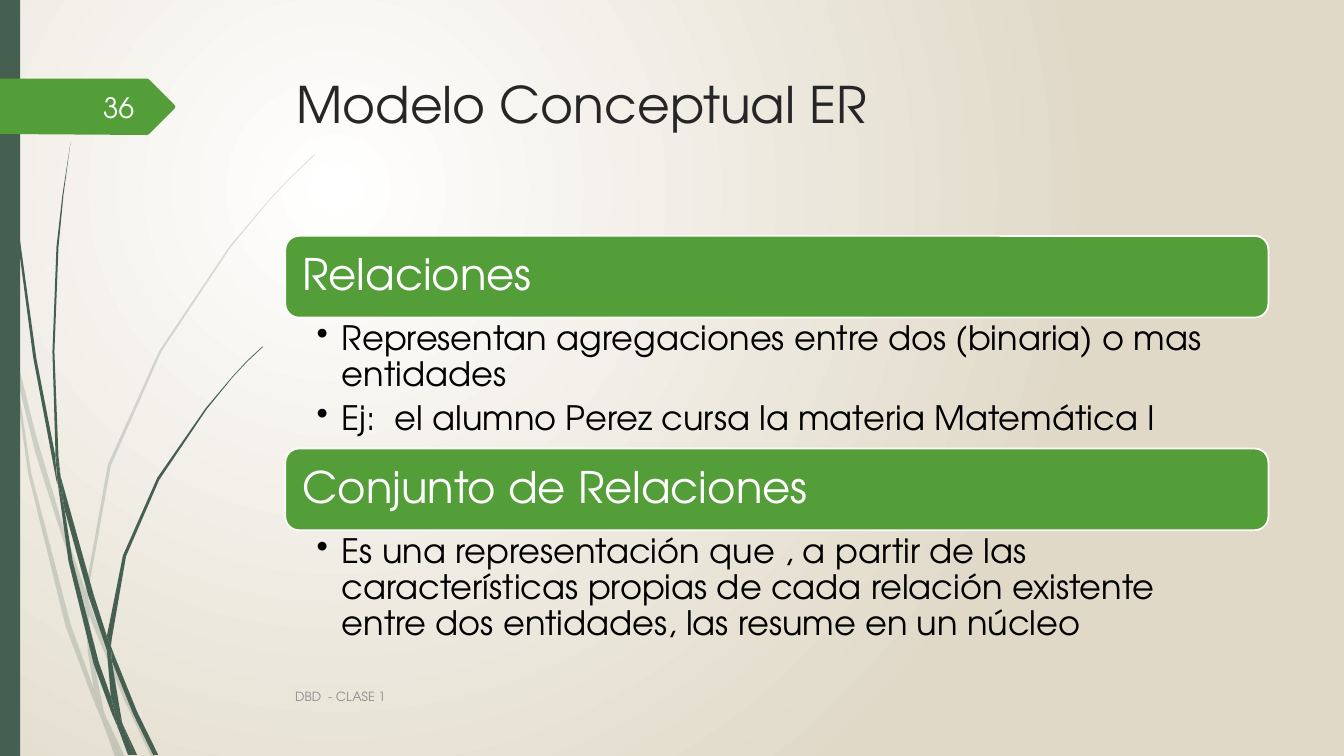
from dataclasses import dataclass

from lxml import etree
from pptx import Presentation
from pptx.dml.color import RGBColor
from pptx.enum.shapes import MSO_SHAPE
from pptx.enum.text import MSO_ANCHOR, PP_ALIGN
from pptx.oxml.ns import qn
from pptx.util import Inches, Pt

RECTANGLE = MSO_SHAPE.RECTANGLE
ROUNDED = MSO_SHAPE.ROUNDED_RECTANGLE
TOP, MIDDLE = MSO_ANCHOR.TOP, MSO_ANCHOR.MIDDLE
LEFT, RIGHT = PP_ALIGN.LEFT, PP_ALIGN.RIGHT


@dataclass(frozen=True)
class Theme:
    """Colours, font and type sizes of the slide."""
    font: str = "TeX Gyre Adventor"
    white: RGBColor = RGBColor(0xFF, 0xFF, 0xFF)
    sand: RGBColor = RGBColor(0xE0, 0xD9, 0xC8)
    pine: RGBColor = RGBColor(0x45, 0x5F, 0x51)
    green: RGBColor = RGBColor(0x54, 0x9E, 0x39)
    ink: RGBColor = RGBColor(0x26, 0x26, 0x26)
    black: RGBColor = RGBColor(0, 0, 0)
    grey: RGBColor = RGBColor(0x8C, 0x8C, 0x8C)
    number_colour: RGBColor = RGBColor(0xFE, 0xFF, 0xFF)
    title: int = 36
    header: int = 31
    body: int = 24
    number: int = 20
    footer: int = 9


THEME = Theme()
COLUMN_LEFT, COLUMN_WIDTH = 2.83, 9.75
BAND_HEIGHT, BAND_PADDING = 0.81, 0.04

PALE_GRASS = [
    [(0.11, 3.5), (0.09, 3.22), (0, 2.82), (0, 2.99), (0.1, 3.44)],
    [(0.58, 5.22), (0.84, 5.99), (0.85, 5.86), (0.62, 5.2), (0.36, 4.33),
     (0.14, 3.45), (0.17, 3.76), (0.35, 4.49)],
    [(0.92, 6.07), (0.88, 5.96), (0.88, 6.1), (1.23, 6.94), (1.5, 7.51),
     (1.55, 7.51), (1.27, 6.92)],
    [(1.19, 7.51), (1.24, 7.51), (1.05, 7.11)],
    [(0.93, 6.83), (0.7, 6.19), (0.31, 4.69), (0.17, 3.76), (0.11, 3.5),
     (0.28, 4.7), (0.65, 6.21), (0.92, 6.93), (1.01, 7.14), (0.99, 7.07)],
    [(0.84, 5.99), (0.87, 6.46), (0.93, 6.83), (0.96, 6.92), (1.05, 7.11),
     (1.03, 7.06), (0.91, 6.46), (0.88, 6.1), (0.88, 6.08)],
    [(0.88, 5.84), (1.1, 4.62), (1.6, 3.49), (2.29, 2.45), (2.68, 1.98),
     (2.9, 1.75), (3.12, 1.54), (3.12, 1.53), (2.89, 1.75), (2.68, 1.97),
     (2.28, 2.44), (1.58, 3.48), (1.07, 4.61), (0.85, 5.84), (0.85, 5.86),
     (0.88, 5.96)],
    [(1.01, 7.14), (1.14, 7.51), (1.19, 7.51)],
    [(0.88, 6.08), (0.88, 6.1), (0.88, 5.96), (0.85, 5.86), (0.84, 5.99)],
    [(0.96, 6.92), (0.93, 6.83), (0.99, 7.07), (1.01, 7.14), (1.19, 7.51),
     (1.05, 7.11)],
]
DARK_GRASS = [
    [(0.07, 1.1), (0.17, 2.33), (0.33, 3.55), (0.56, 4.77), (0.57, 4.81),
     (0.55, 4.57), (0.55, 4.53), (0.36, 3.55), (0.19, 2.32), (0.08, 1.09),
     (0.05, 0.48), (0.04, 0), (0.03, 0), (0.04, 0.48)],
    [(0.88, 5.92), (1.06, 6.45), (1.06, 6.33), (1.06, 6.31), (0.93, 5.9),
     (0.6, 4.72), (0.64, 5.05)],
    [(1.13, 6.49), (1.1, 6.41), (1.11, 6.56), (1.32, 7.08), (1.52, 7.49),
     (1.57, 7.49), (1.36, 7.06)],
    [(1.1, 6.91), (0.98, 6.57), (0.72, 5.56), (0.64, 5.05), (0.57, 4.77),
     (0.68, 5.57), (0.93, 6.59), (1.11, 7.08), (1.17, 7.22), (1.16, 7.17)],
    [(0.6, 4.72), (0.58, 4.53), (0.54, 3.49), (0.58, 2.45), (0.63, 1.93),
     (0.7, 1.41), (0.62, 1.93), (0.56, 2.45), (0.52, 3.49), (0.55, 4.49)],
    [(1.33, 7.49), (1.36, 7.49), (1.22, 7.19)],
    [(0.57, 4.77), (0.64, 5.05), (0.6, 4.72), (0.55, 4.49), (0.55, 4.53)],
    [(1.11, 6.33), (1.25, 5.52), (1.58, 4.76), (2.05, 4.06), (2.31, 3.74),
     (2.45, 3.59), (2.61, 3.44), (2.6, 3.44), (2.45, 3.58), (2.31, 3.73),
     (2.04, 4.05), (1.56, 4.74), (1.22, 5.51), (1.06, 6.31), (1.1, 6.41)],
    [(1.17, 7.22), (1.27, 7.49), (1.31, 7.49)],
    [(1.06, 6.45), (1.1, 6.91), (1.16, 7.06), (1.22, 7.19), (1.21, 7.16),
     (1.11, 6.56), (1.09, 6.51)],
    [(1.06, 6.45), (1.09, 6.51), (1.11, 6.56), (1.1, 6.41), (1.06, 6.31)],
    [(1.16, 7.06), (1.1, 6.91), (1.16, 7.17), (1.17, 7.22), (1.3, 7.49),
     (1.33, 7.49), (1.22, 7.19)],
]
PAGE_TAG = [(0, 0.78), (1.46, 0.78), (1.48, 0.79), (1.73, 1.04),
            (1.74, 1.06), (1.73, 1.08), (1.48, 1.33), (1.46, 1.34), (0, 1.33)]

SECTIONS = [
    (2.34, 1.3, "Relaciones", [
        "Representan agregaciones entre dos (binaria) o mas entidades",
        "Ej:  el alumno Perez cursa la materia Matemática I"]),
    (4.45, 1.19, "Conjunto de Relaciones", [
        "Es una representación que , a partir de las características propias "
        "de cada relación existente entre dos entidades, las resume en un núcleo"]),
]


def paint_background(slide):
    """Fill the slide with a radial gradient centred in its upper left part."""
    fill = slide.background.fill
    fill.gradient()
    for stop, colour in zip(fill.gradient_stops, (THEME.white, THEME.sand)):
        stop.color.rgb = colour
    linear = next(slide.background._cSld.iter(qn("a:lin")))
    radial = etree.Element(qn("a:path"), {"path": "circle"})
    etree.SubElement(radial, qn("a:fillToRect"),
                     {"l": "50000", "t": "50000", "r": "100000", "b": "100000"})
    linear.getparent().replace(linear, radial)


def paint(shape, colour):
    """Give a shape a flat fill without line or shadow."""
    shape.shadow.inherit = False
    shape.fill.solid()
    shape.fill.fore_color.rgb = colour
    shape.line.fill.background()
    return shape


def add_outline(shapes, points, colour):
    """Draw a closed filled outline through points given in inches."""
    corners = [(Inches(x), Inches(y)) for x, y in points]
    builder = shapes.build_freeform(*corners[0], scale=1.0)
    builder.add_line_segments(corners[1:], close=True)
    return paint(builder.convert_to_shape(), colour)


def add_grass(slide, blades, opacity=100):
    """Draw a group of grass blades at the given opacity in percent."""
    tuft = slide.shapes.add_group_shape()
    for points in blades:
        blade = add_outline(tuft.shapes, points, THEME.pine)
        if opacity < 100:
            colour = next(blade._element.spPr.iter(qn("a:srgbClr")))
            etree.SubElement(colour, qn("a:alpha"), {"val": str(opacity * 1000)})


def add_block(slide, shape_type, left, top, width, height, colour):
    """Add a flat preset shape."""
    return paint(slide.shapes.add_shape(
        shape_type, Inches(left), Inches(top), Inches(width), Inches(height)), colour)


def add_text(slide, box, lines, size, colour, anchor=MIDDLE, align=LEFT,
             insets=(0.1, 0.05, 0.1, 0.05), spacing=None, bulleted=False):
    """Add a text box with one paragraph for each line."""
    frame = slide.shapes.add_textbox(*map(Inches, box)).text_frame
    frame.word_wrap = True
    frame.vertical_anchor = anchor
    (frame.margin_left, frame.margin_top,
     frame.margin_right, frame.margin_bottom) = map(Inches, insets)
    for index, line in enumerate(lines):
        paragraph = frame.add_paragraph() if index else frame.paragraphs[0]
        paragraph.text = line
        paragraph.alignment = align
        if spacing:
            paragraph.line_spacing = spacing
        if bulleted:
            paragraph.space_after = Pt(5)
            properties = paragraph._p.get_or_add_pPr()
            properties.set("marL", str(Inches(0.25)))
            properties.set("indent", str(-Inches(0.25)))
            etree.SubElement(properties, qn("a:buChar"), {"char": "•"})
        paragraph.font.name = THEME.font
        paragraph.font.size = Pt(size)
        paragraph.font.color.rgb = colour


def add_section(slide, top, body_height, heading, points):
    """Add a green heading band with its bulleted points below."""
    band = add_block(slide, ROUNDED, COLUMN_LEFT, top, COLUMN_WIDTH, BAND_HEIGHT,
                     THEME.green)
    band.line.color.rgb = THEME.white
    band.line.width = Pt(1.25)
    heading_box = (COLUMN_LEFT + BAND_PADDING, top + BAND_PADDING,
                   COLUMN_WIDTH - 2 * BAND_PADDING, BAND_HEIGHT - 2 * BAND_PADDING)
    add_text(slide, heading_box, [heading], THEME.header, THEME.white,
             insets=(0.13,) * 4, spacing=0.9)
    body_box = (COLUMN_LEFT, top + BAND_HEIGHT, COLUMN_WIDTH, body_height)
    add_text(slide, body_box, points, THEME.body, THEME.black, anchor=TOP,
             insets=(0.31, 0.04, 0.24, 0.04), spacing=0.9, bulleted=True)


def main():
    """Build the slide and save it."""
    deck = Presentation()
    deck.slide_width, deck.slide_height = Inches(13.33), Inches(7.5)
    slide = deck.slides.add_slide(deck.slide_layouts[6])
    paint_background(slide)
    add_grass(slide, PALE_GRASS, opacity=20)
    add_grass(slide, DARK_GRASS)
    add_block(slide, RECTANGLE, 0, 0, 0.2, 7.5, THEME.pine)
    add_outline(slide.shapes, PAGE_TAG, THEME.green)
    add_text(slide, (2.84, 0.68, 9.75, 1.4), ["Modelo Conceptual ER"],
             THEME.title, THEME.ink, anchor=TOP)
    for section in SECTIONS:
        add_section(slide, *section)
    add_text(slide, (2.83, 6.71, 8.33, 0.4), ["DBD  - CLASE 1"],
             THEME.footer, THEME.grey)
    add_text(slide, (0.58, 0.86, 0.85, 0.4), ["36"], THEME.number,
             THEME.number_colour, align=RIGHT)
    deck.save("out.pptx")


if __name__ == "__main__":
    main()
